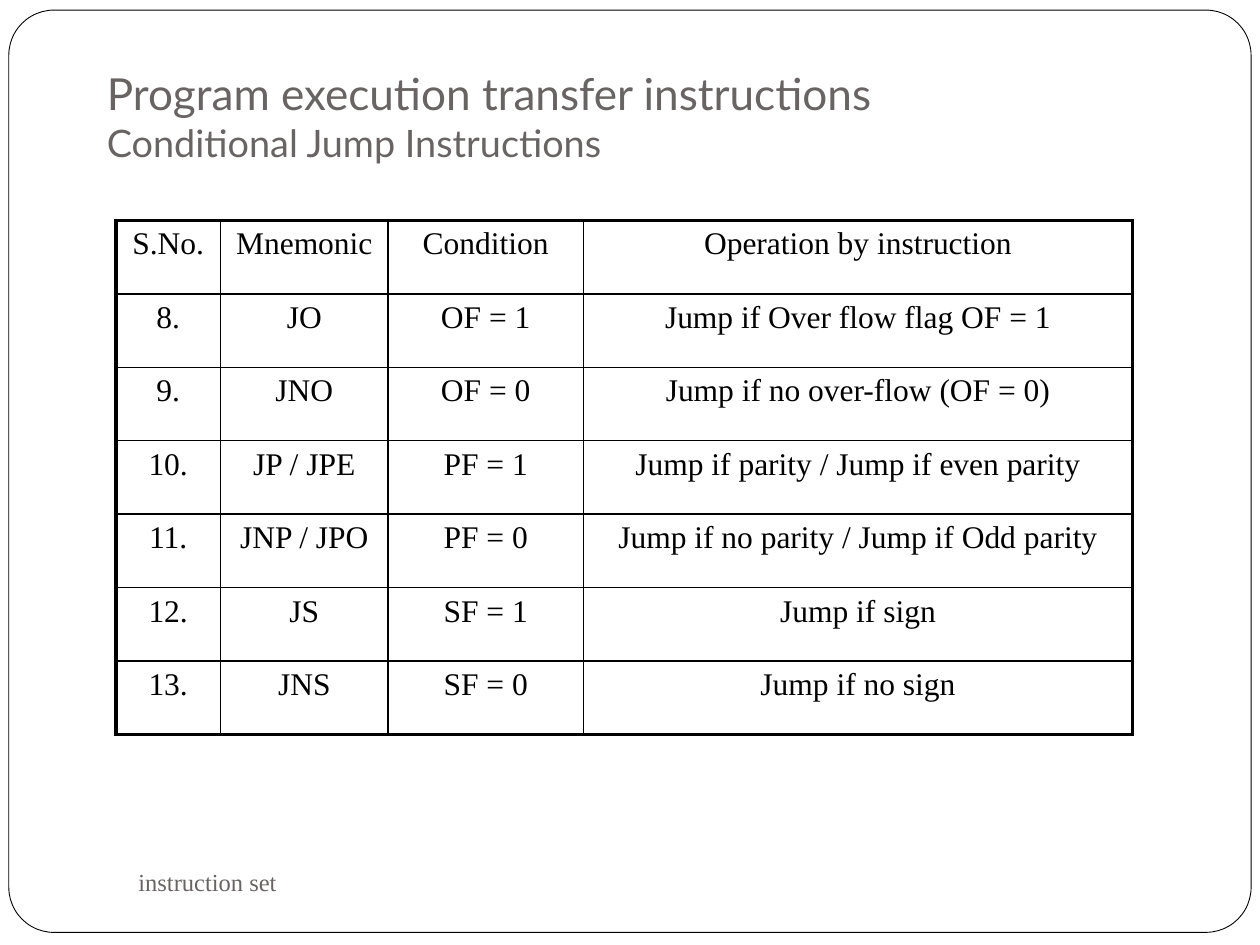
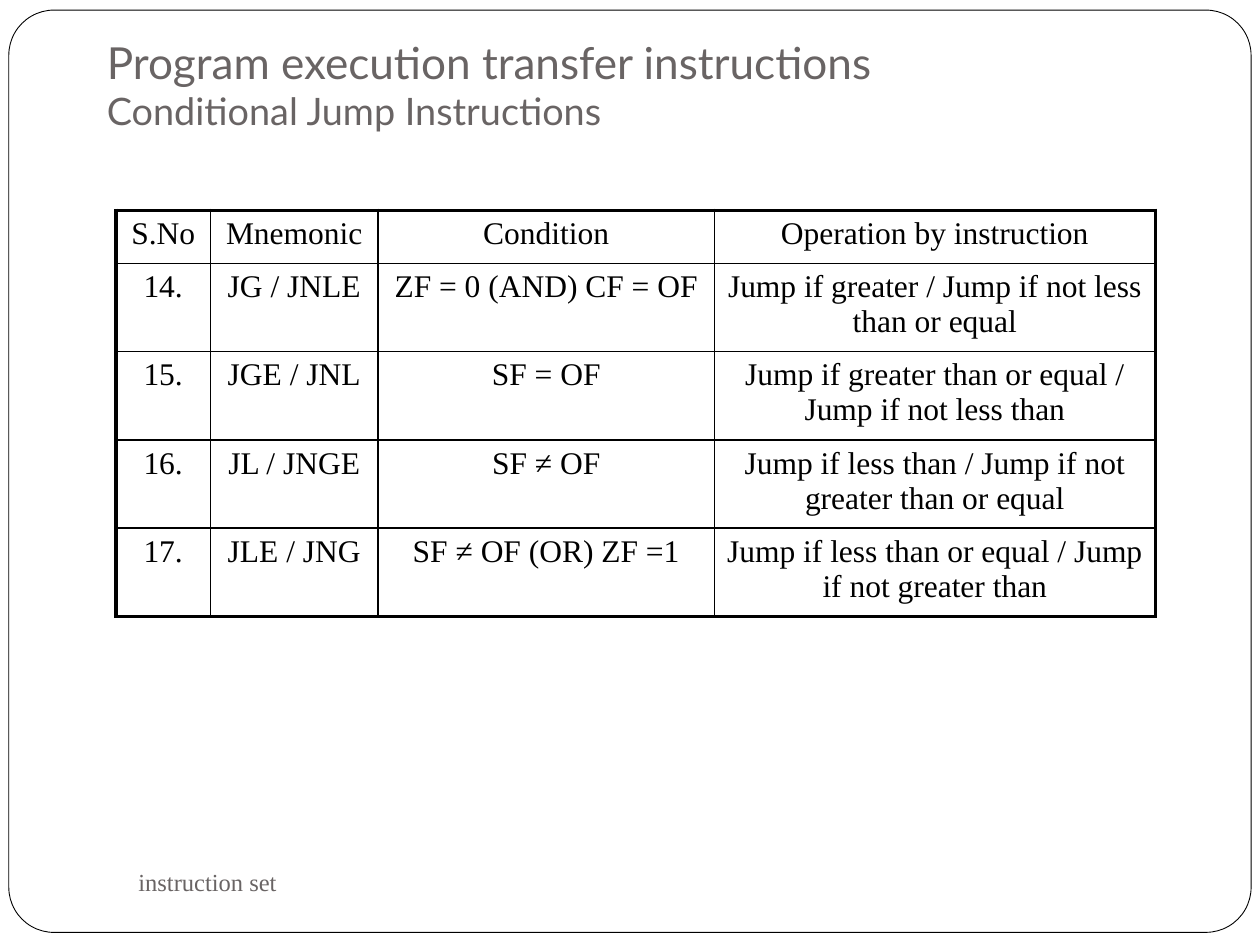
from lxml import etree
from pptx import Presentation
from pptx.dml.color import RGBColor
from pptx.enum.shapes import MSO_SHAPE
from pptx.enum.text import MSO_ANCHOR, PP_ALIGN
from pptx.oxml.ns import qn
from pptx.util import Inches, Pt

ROUND = MSO_SHAPE.ROUNDED_RECTANGLE
BOTTOM, MIDDLE = MSO_ANCHOR.BOTTOM, MSO_ANCHOR.MIDDLE
CENTER = PP_ALIGN.CENTER

COLORS = {"page": "FFFFFF", "ink": "000000", "muted": "696464"}
HEAD, BODY = "Lato", "Times New Roman"
THIN, THICK = Pt(1), Pt(2.25)

TITLE = ("Program execution transfer instructions", "Conditional Jump Instructions")
FOOTER = "instruction set"

FLAGS = [
    ("S.No.", "Mnemonic", "Condition", "Operation by instruction"),
    ("8.", "JO", "OF = 1", "Jump if Over flow flag OF = 1"),
    ("9.", "JNO", "OF = 0", "Jump if no over-flow (OF = 0)"),
    ("10.", "JP / JPE", "PF = 1", "Jump if parity / Jump if even parity"),
    ("11.", "JNP / JPO", "PF = 0", "Jump if no parity / Jump if Odd parity"),
    ("12.", "JS", "SF = 1", "Jump if sign"),
    ("13.", "JNS", "SF = 0", "Jump if no sign"),
]
SIGNED = [
    ("S.No", "Mnemonic", "Condition", "Operation by instruction"),
    ("14.", "JG / JNLE", "ZF = 0 (AND) CF = OF",
     "Jump if greater / Jump if not less than or equal"),
    ("15.", "JGE / JNL", "SF = OF",
     "Jump if greater than or equal / Jump if not less than"),
    ("16.", "JL / JNGE", "SF ≠ OF",
     "Jump if less than / Jump if not greater than or equal"),
    ("17.", "JLE / JNG", "SF ≠ OF (OR) ZF =1",
     "Jump if less than or equal / Jump if not greater than"),
]


def rgb(name):
    return RGBColor.from_string(COLORS[name])


def style(run, face, size, color):
    run.font.name = face
    run.font.size = Pt(size)
    run.font.color.rgb = rgb(color)


def add_text(slide, box, anchor):
    frame = slide.shapes.add_textbox(*map(Inches, box)).text_frame
    frame.word_wrap = True
    frame.vertical_anchor = anchor
    return frame


def add_frame(slide, box):
    """Draw the rounded outline around the page."""
    shape = slide.shapes.add_shape(ROUND, *map(Inches, box))
    shape.adjustments[0] = 0.049
    shape.shadow.inherit = False
    shape.fill.solid()
    shape.fill.fore_color.rgb = rgb("page")
    shape.line.color.rgb = rgb("ink")
    shape.line.width = Pt(0.5)


def add_title(slide, box):
    frame = add_text(slide, box, BOTTOM)
    frame.margin_bottom = Inches(0.1)
    para = frame.paragraphs[0]
    para.text = "\v".join(TITLE)
    for run, size in zip(para.runs, (25.2, 21.6)):
        style(run, HEAD, size, "muted")


def add_footer(slide, box):
    frame = add_text(slide, box, MIDDLE)
    frame.text = FOOTER
    style(frame.paragraphs[0].runs[0], BODY, 14, "muted")


def set_borders(cell, widths):
    """Line the cell's left, right, top and bottom edges."""
    props = cell._tc.get_or_add_tcPr()
    for place, (side, width) in enumerate(zip("LRTB", widths)):
        line = etree.Element(qn(f"a:ln{side}"), w=str(width))
        fill = etree.SubElement(line, qn("a:solidFill"))
        etree.SubElement(fill, qn("a:srgbClr"), val=COLORS["ink"])
        props.insert(place, line)


def add_grid(slide, left, top, cols, heights, rows):
    """Draw a table with thin inner lines and a thick outer edge."""
    box = (left, top, sum(cols), sum(heights))
    table = slide.shapes.add_table(len(rows), len(cols), *map(Inches, box)).table
    table.first_row = table.horz_banding = False
    for col, width in zip(table.columns, cols):
        col.width = Inches(width)
    for row, height in zip(table.rows, heights):
        row.height = Inches(height)
    for r, words in enumerate(rows):
        for c, word in enumerate(words):
            cell = table.cell(r, c)
            cell.fill.background()
            outer = (c == 0, c == len(cols) - 1, r == 0, r == len(rows) - 1)
            set_borders(cell, [THICK if edge else THIN for edge in outer])
            para = cell.text_frame.paragraphs[0]
            para.text = word
            para.alignment = CENTER
            style(para.runs[0], BODY, 18, "ink")


def add_page(deck, head, top, cols, heights, rows):
    slide = deck.slides.add_slide(deck.slide_layouts[6])
    add_frame(slide, (0.07, 0.08, 9.86, 7.32))
    add_title(slide, (0.75, head, 8.5, 0.83))
    add_grid(slide, 0.92, top, cols, heights, rows)
    add_footer(slide, (1, 6.75, 4.33, 0.5))


def main():
    deck = Presentation()
    deck.slide_width, deck.slide_height = Inches(10), Inches(7.5)
    add_page(deck, 0.58, 1.75, (0.83, 1.33, 1.55, 4.36),
             [4.08 / len(FLAGS)] * len(FLAGS), FLAGS)
    add_page(deck, 0.33, 1.67, (0.75, 1.33, 2.67, 3.5),
             (0.42, 0.66, 0.7, 0.7, 0.66), SIGNED)
    deck.save("out.pptx")


if __name__ == "__main__":
    main()
